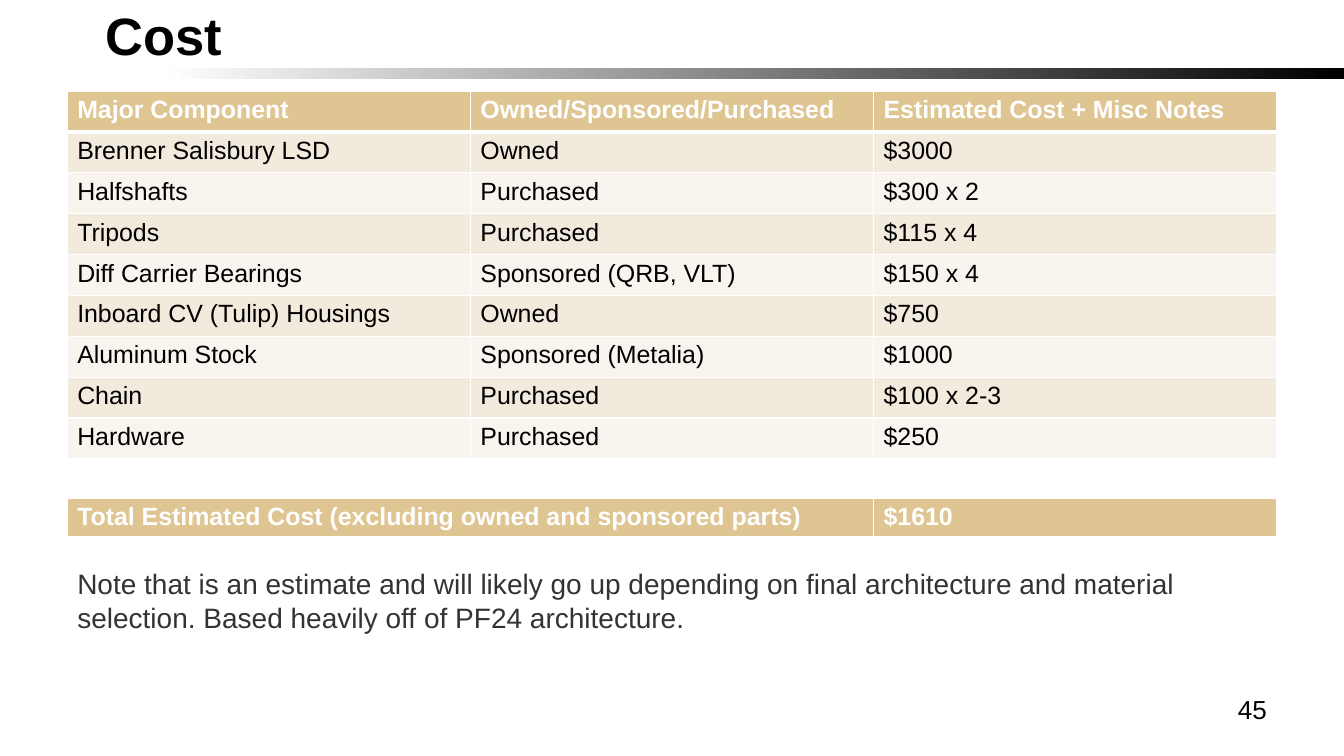
from lxml.etree import SubElement
from pptx import Presentation
from pptx.dml.color import RGBColor as Rgb
from pptx.enum.shapes import MSO_SHAPE as Preset
from pptx.enum.text import MSO_ANCHOR as Anchor, MSO_AUTO_SIZE as AutoSize, PP_ALIGN as Align
from pptx.oxml.ns import qn
from pptx.util import Pt

COLORS = {"black": "000000", "white": "FFFFFF", "note": "333333",
          "header": "DEC592", "odd": "F2EADC", "even": "F9F5EE"}
SLIDE_WIDTH, SLIDE_HEIGHT = 960, 540
MARGIN = 48
CONTENT_WIDTH = SLIDE_WIDTH - 2 * MARGIN
CELL_SIZE = 17.8
THIN, THICK = 1, 3

COMPONENTS = [
    ("Major Component", "Owned/Sponsored/Purchased", "Estimated Cost + Misc Notes"),
    ("Brenner Salisbury LSD", "Owned", "$3000"),
    ("Halfshafts", "Purchased", "$300 x 2"),
    ("Tripods", "Purchased", "$115 x 4"),
    ("Diff Carrier Bearings", "Sponsored (QRB, VLT)", "$150 x 4"),
    ("Inboard CV (Tulip) Housings", "Owned", "$750"),
    ("Aluminum Stock", "Sponsored (Metalia)", "$1000"),
    ("Chain", "Purchased", "$100 x 2-3"),
    ("Hardware", "Purchased", "$250"),
]
TOTAL = [("Total Estimated Cost (excluding owned and sponsored parts)", "$1610")]
NOTE = ("Note that is an estimate and will likely go up depending on final architecture "
        "and material selection. Based heavily off of PF24 architecture.")


class CostSlide:
    font = "Arial"

    def __init__(self, deck):
        self.slide = deck.slides.add_slide(deck.slide_layouts[1])
        self.shapes = self.slide.shapes

    def add_text(self, frame, text, size, color="black", bold=False, align=Align.LEFT):
        paragraph = frame.paragraphs[0]
        paragraph.alignment = align
        run = paragraph.add_run()
        run.text = text
        run.font.name = self.font
        run.font.size = Pt(size)
        run.font.bold = bold
        run.font.color.rgb = Rgb.from_string(COLORS[color])
        return paragraph

    def place(self, shape, left, top, width, height):
        shape.left, shape.top, shape.width, shape.height = map(Pt, (left, top, width, height))
        frame = shape.text_frame
        frame.word_wrap = True
        frame.auto_size = AutoSize.NONE
        return frame

    def title(self, text):
        frame = self.place(self.shapes.title, MARGIN, 16, 624, 31)
        frame.vertical_anchor = Anchor.BOTTOM
        frame.margin_left, frame.margin_bottom = Pt(27.4), 0
        self.add_text(frame, text, 37.5, bold=True)

    def note(self, text):
        frame = self.place(self.slide.placeholders[1], MARGIN, 401, CONTENT_WIDTH, 72)
        paragraph = self.add_text(frame, text, 20, "note")
        paragraph.space_before = 0
        properties = paragraph._p.get_or_add_pPr()
        properties.set("marL", "0")
        properties.set("indent", "0")
        SubElement(properties, qn("a:buNone"))

    def page_number(self, text):
        box = self.shapes.add_textbox(0, 0, 0, 0)
        frame = self.place(box, 688, 492, 224, 37)
        self.add_text(frame, text, 18.6, align=Align.RIGHT)

    def fading_bar(self, top, height):
        bar = self.shapes.add_shape(Preset.RECTANGLE, 0, Pt(top), Pt(SLIDE_WIDTH), Pt(height))
        bar.shadow.inherit = False
        bar.line.fill.background()
        bar.fill.gradient()
        bar.fill.gradient_angle = 180
        stops = zip(bar.fill.gradient_stops, ("black", "white"), (0, 0.88))
        for stop, color, position in stops:
            stop.color.rgb = Rgb.from_string(COLORS[color])
            stop.position = position

    def borders(self, cell, top, bottom):
        """Draw white edges; top and bottom are line widths in points."""
        properties = cell._tc.get_or_add_tcPr()
        for side, width in (("L", THIN), ("R", THIN), ("T", top), ("B", bottom)):
            edge = SubElement(properties, qn(f"a:ln{side}"), w=str(Pt(width)))
            fill = SubElement(edge, qn("a:solidFill"))
            SubElement(fill, qn("a:srgbClr"), val=COLORS["white"])

    def table(self, rows, top, column_widths, row_height):
        """Add a table whose first row is a header and whose other rows are banded."""
        table = self.shapes.add_table(
            len(rows), len(column_widths), Pt(MARGIN), Pt(top),
            Pt(CONTENT_WIDTH), Pt(row_height * len(rows))).table
        table.horz_banding = False
        for column, width in zip(table.columns, column_widths):
            column.width = Pt(width)
        for row_index, row in enumerate(rows):
            table.rows[row_index].height = Pt(row_height)
            is_header = row_index == 0
            band = "header" if is_header else ("even", "odd")[row_index % 2]
            for column_index, text in enumerate(row):
                cell = table.cell(row_index, column_index)
                self.borders(cell, THICK if row_index == 1 else THIN,
                             THICK if is_header else THIN)
                cell.fill.solid()
                cell.fill.fore_color.rgb = Rgb.from_string(COLORS[band])
                self.add_text(cell.text_frame, text, CELL_SIZE,
                              "white" if is_header else "black", is_header)


def main():
    deck = Presentation()
    deck.slide_width, deck.slide_height = Pt(SLIDE_WIDTH), Pt(SLIDE_HEIGHT)
    cost = CostSlide(deck)
    third = CONTENT_WIDTH / 3
    cost.fading_bar(48.4, 8)
    cost.title("Cost")
    cost.table(COMPONENTS, 65, [third] * 3, 29.2)
    cost.table(TOTAL, 356, [2 * third, third], 28)
    cost.note(NOTE)
    cost.page_number("45")
    deck.save("out.pptx")


if __name__ == "__main__":
    main()
